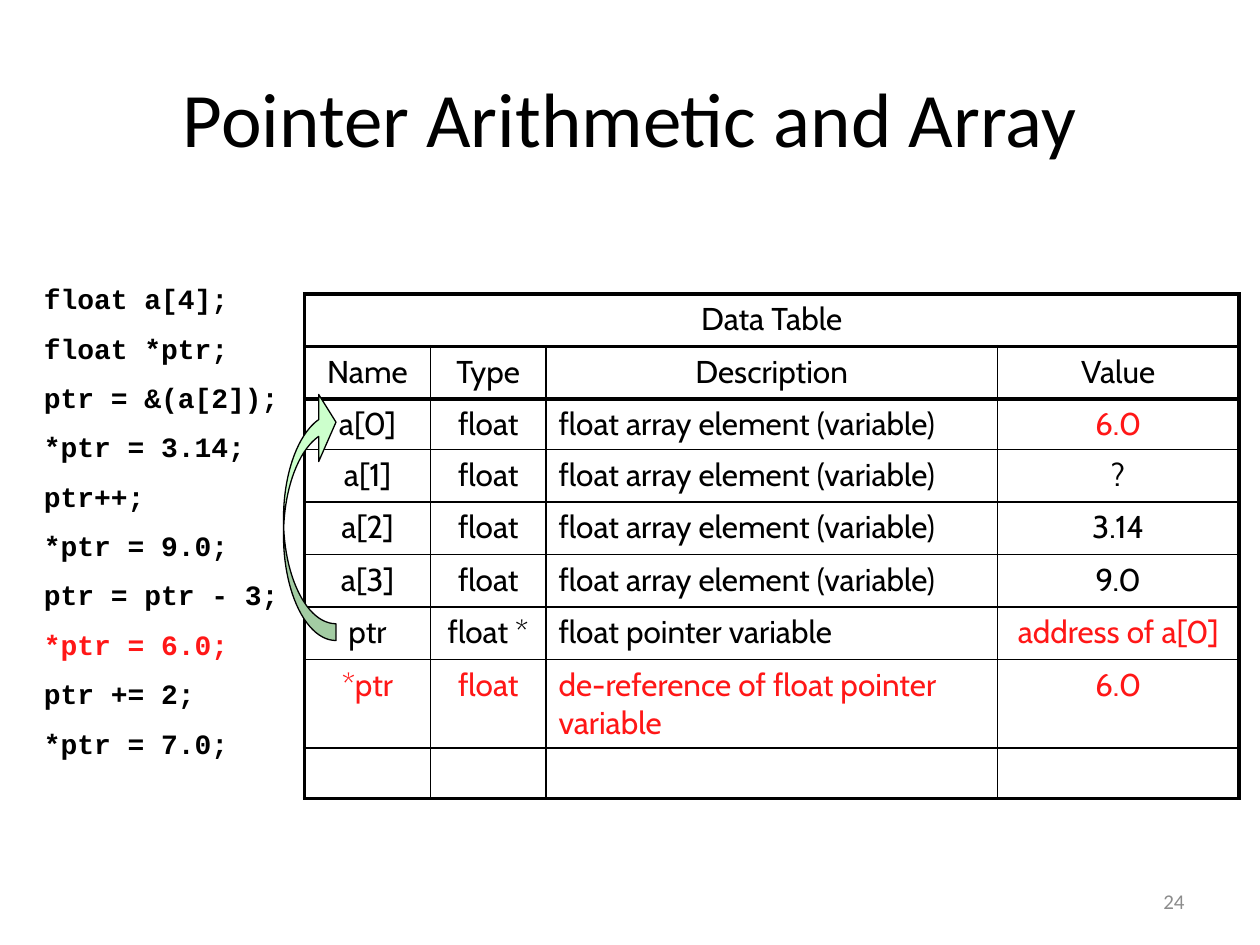
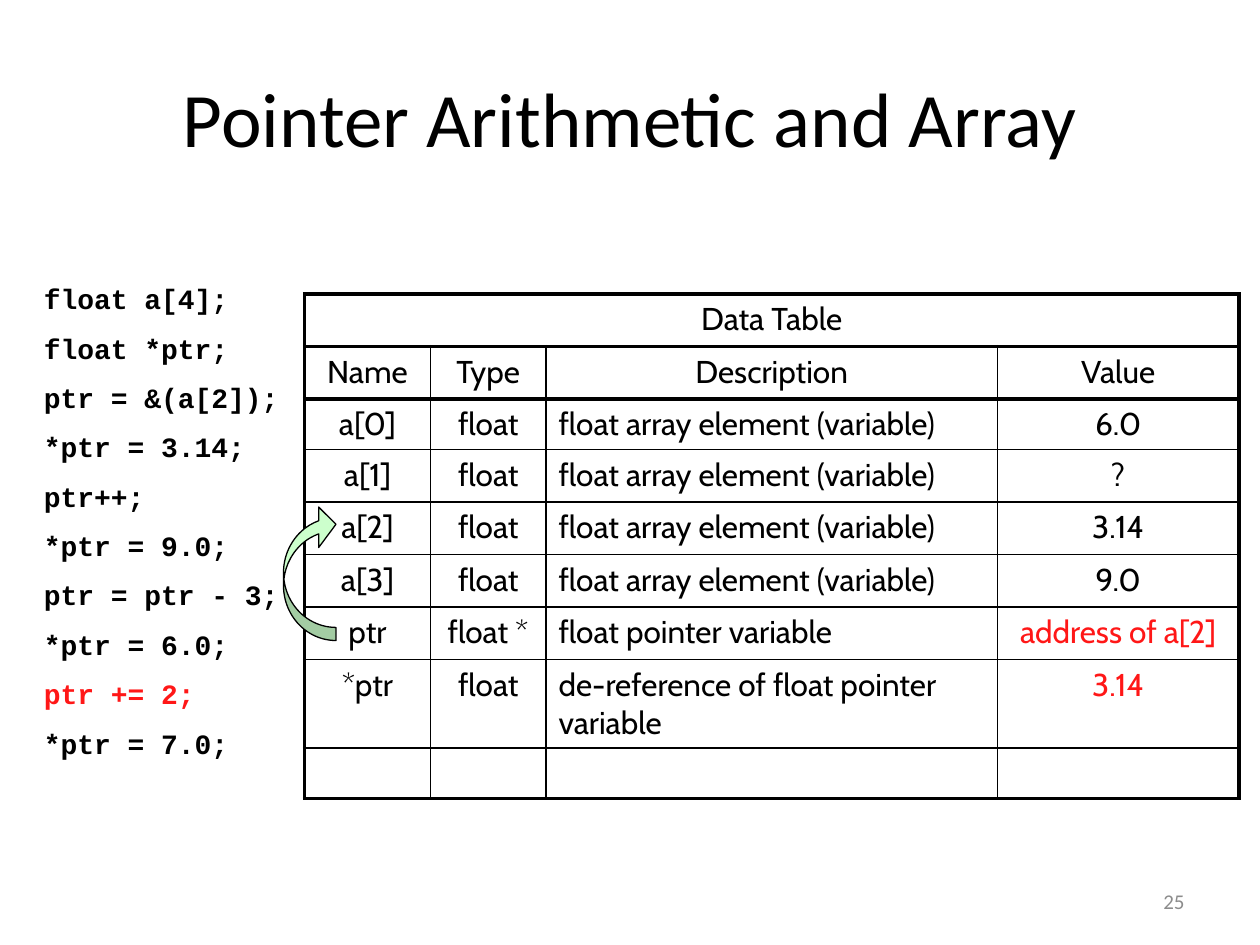
from lxml.etree import SubElement
from pptx import Presentation
from pptx.dml.color import RGBColor
from pptx.enum.shapes import MSO_SHAPE as Shape
from pptx.enum.text import MSO_ANCHOR as Anchor, PP_ALIGN as Align
from pptx.oxml.ns import qn
from pptx.util import Pt

BLACK, RED, GRAY, MINT = "000000", "FF1717", "8C8C8C", "CCFFCC"
TITLE = "Pointer Arithmetic and Array"
CODE = [
    "float a[4];",
    "float *ptr;",
    "ptr = &(a[2]);",
    "*ptr = 3.14;",
    "ptr++;",
    "*ptr = 9.0;",
    "ptr = ptr - 3;",
    "*ptr = 6.0;",
    "ptr += 2;",
    "*ptr = 7.0;",
]
COLUMNS = [72, 66, 258, 138]
ROWS = [30, 30, 29, 30, 30, 30, 30, 50, 29]
DESCRIPTION, VALUE = 2, 3
HEADER_ROWS = 2
ARROW_BOTTOM = 366


def color(code):
    return RGBColor.from_string(code)


def data_rows(address, target_value):
    """Rows of the data table while ptr holds the given address."""
    element = "float array element (variable)"
    values = ["6.0", "?", "3.14", "9.0"]
    return [
        ["Data Table", "", "", ""],
        ["Name", "Type", "Description", "Value"],
        *[[f"a[{index}]", "float", element, value]
          for index, value in enumerate(values)],
        ["ptr", "float *", "float pointer variable", f"address of {address}"],
        ["*ptr", "float", "de-reference of float pointer variable", target_value],
        ["", "", "", ""],
    ]


def set_borders(cell, widths):
    """Draw the cell's edges; widths are points for left, right, top, bottom."""
    properties = cell._tc.get_or_add_tcPr()
    for side, width in zip("LRTB", widths):
        line = SubElement(properties, qn(f"a:ln{side}"), w=str(Pt(width)))
        fill = SubElement(line, qn("a:solidFill"))
        SubElement(fill, qn("a:srgbClr"), val=BLACK)


class Lesson:
    text_font, code_font, table_font = "Calibri", "Courier New", "Cabin"
    thin, thick = 1, 2.25

    def __init__(self):
        self.deck = Presentation()
        self.deck.slide_width, self.deck.slide_height = Pt(720), Pt(540)
        self.page = None

    def style(self, para, font, size, ink=BLACK, align=Align.LEFT, bold=False):
        para.alignment = align
        para.font.name, para.font.size = font, Pt(size)
        para.font.bold = bold
        para.font.color.rgb = color(ink)

    def add_page(self, title, number):
        self.page = self.deck.slides.add_slide(self.deck.slide_layouts[5])
        box = self.page.shapes.title
        box.left, box.top, box.width, box.height = Pt(36), Pt(21.6), Pt(648), Pt(90)
        box.text_frame.text = title
        box.text_frame.vertical_anchor = Anchor.MIDDLE
        self.style(box.text_frame.paragraphs[0], self.text_font, 44, align=Align.CENTER)

        frame = self.add_text_frame(516, 500.5, 168, 28.8)
        frame.vertical_anchor = Anchor.MIDDLE
        frame.text = str(number)
        self.style(frame.paragraphs[0], self.text_font, 12, GRAY, Align.RIGHT)

    def add_text_frame(self, left, top, width, height):
        box = self.page.shapes.add_textbox(Pt(left), Pt(top), Pt(width), Pt(height))
        box.text_frame.word_wrap = True
        return box.text_frame

    def add_code(self, lines, current):
        """List the program with the current line in red."""
        frame = self.add_text_frame(18, 157.5, 672, 286.5)
        frame.text = "\n".join(lines)
        for index, para in enumerate(frame.paragraphs):
            if index:
                para.space_before = Pt(9)
            ink = RED if lines[index] == current else BLACK
            self.style(para, self.code_font, 16, ink, bold=True)

    def add_data_table(self, rows, changed):
        """Fill the table; changed holds the (row, column) places in red."""
        table = self.page.shapes.add_table(
            len(ROWS), len(COLUMNS), Pt(174), Pt(168),
            Pt(sum(COLUMNS)), Pt(sum(ROWS))).table
        table.first_row = table.horz_banding = False
        for column, width in zip(table.columns, COLUMNS):
            column.width = Pt(width)
        for row, height in zip(table.rows, ROWS):
            row.height = Pt(height)
        table.cell(0, 0).merge(table.cell(0, len(COLUMNS) - 1))

        for r, texts in enumerate(rows):
            for c, text in enumerate(texts):
                cell = table.cell(r, c)
                set_borders(cell, self.edge_widths(r, c))
                cell.fill.background()
                cell.text = text
                is_prose = c == DESCRIPTION and r >= HEADER_ROWS
                self.style(cell.text_frame.paragraphs[0], self.table_font, 18,
                           RED if (r, c) in changed else BLACK,
                           Align.LEFT if is_prose else Align.CENTER)

    def edge_widths(self, r, c):
        """Thick round the table, the title row and the header row."""
        heavy = (
            r == 0 or c == 0,
            r == 0 or c == len(COLUMNS) - 1,
            r <= HEADER_ROWS,
            r < HEADER_ROWS or r == len(ROWS) - 1,
        )
        return [self.thick if edge else self.thin for edge in heavy]

    def add_pointer_arrow(self, top, adjustments):
        arrow = self.page.shapes.add_shape(
            Shape.CURVED_LEFT_ARROW, Pt(162), Pt(top), Pt(30), Pt(ARROW_BOTTOM - top))
        arrow.rotation = 180
        for index, value in enumerate(adjustments):
            arrow.adjustments[index] = value
        arrow.shadow.inherit = False
        arrow.fill.solid()
        arrow.fill.fore_color.rgb = color(MINT)
        arrow.line.color.rgb = color(BLACK)
        arrow.line.width = Pt(0.75)


def main():
    lesson = Lesson()
    pointer, target = 6, 7
    whole_target = {(target, column) for column in range(len(COLUMNS))}
    steps = [
        (24, "*ptr = 6.0;", "a[0]", "6.0",
         {(2, VALUE), (pointer, VALUE)} | whole_target, 222, (0.32, 1.28, 0.33)),
        (25, "ptr += 2;", "a[2]", "3.14",
         {(pointer, VALUE), (target, VALUE)}, 288, (0.25, 0.77, 0.33)),
    ]
    for number, current, address, value, changed, arrow_top, adjustments in steps:
        lesson.add_page(TITLE, number)
        lesson.add_code(CODE, current)
        lesson.add_data_table(data_rows(address, value), changed)
        lesson.add_pointer_arrow(arrow_top, adjustments)
    lesson.deck.save("out.pptx")


if __name__ == "__main__":
    main()
